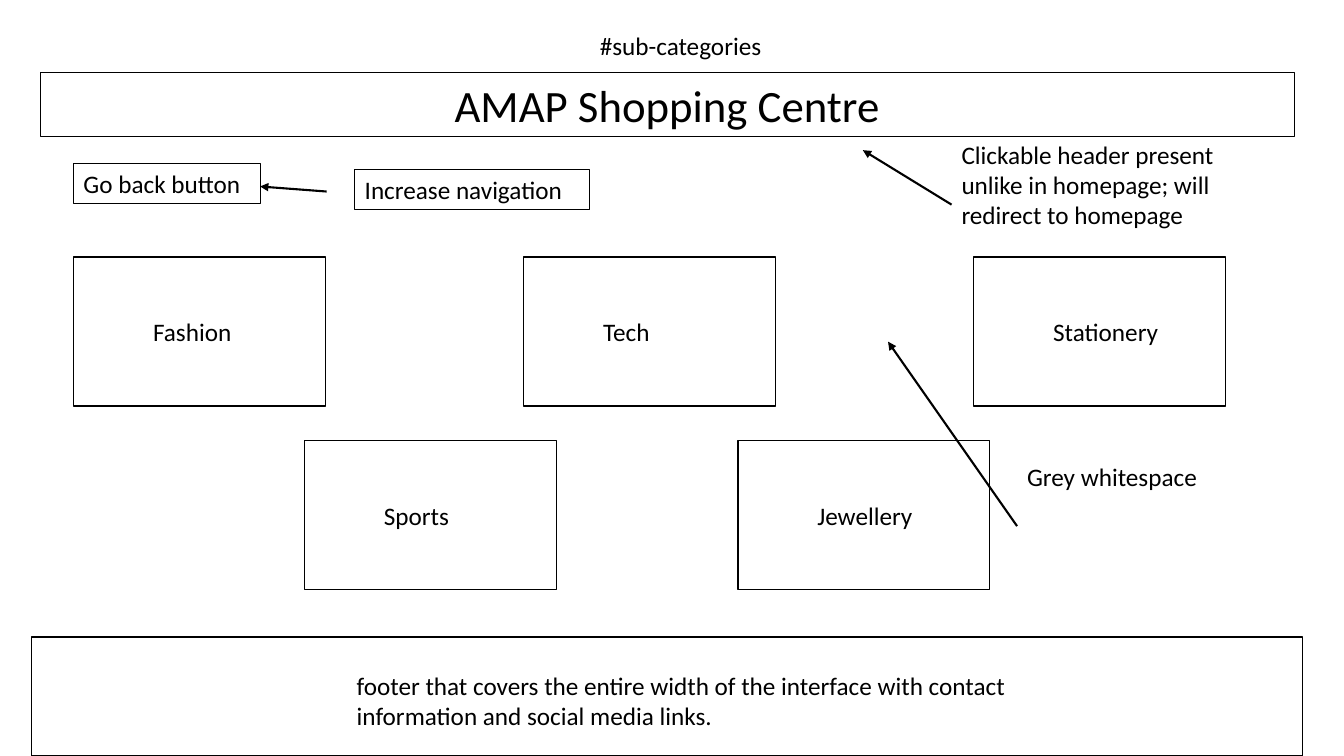
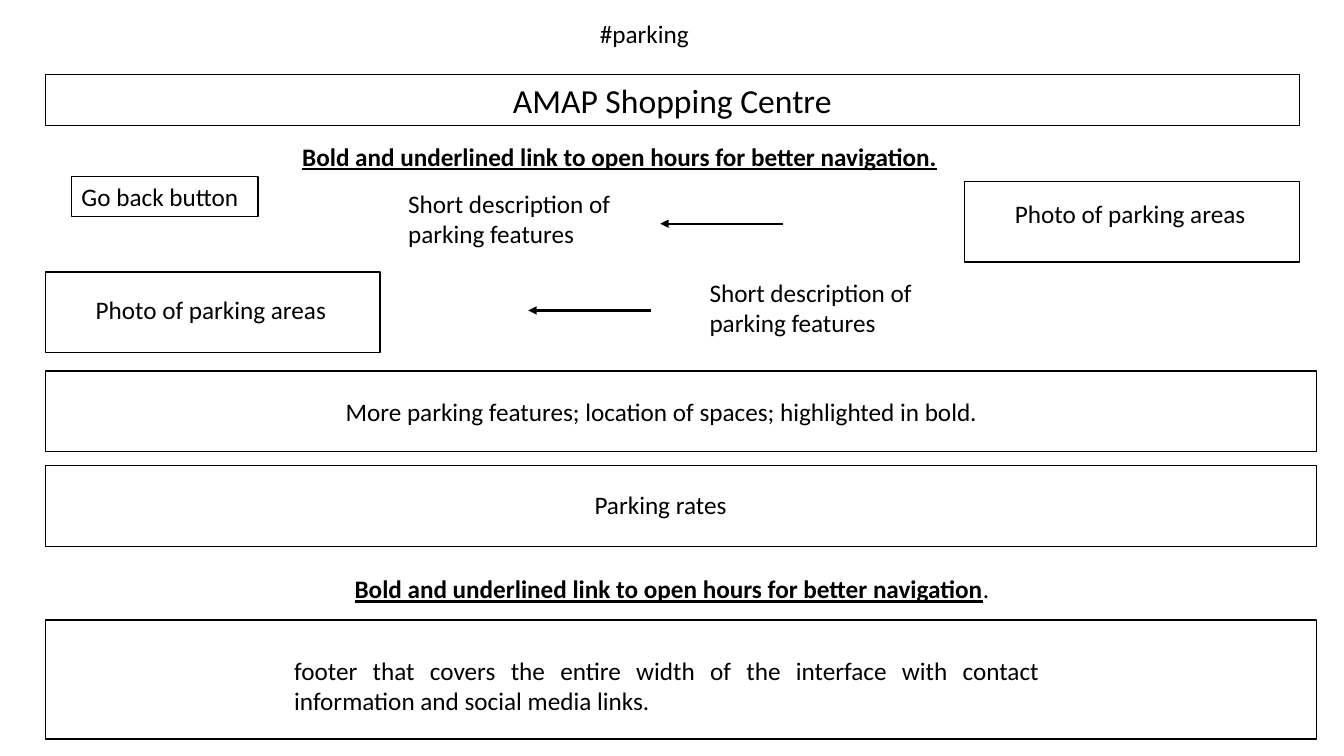
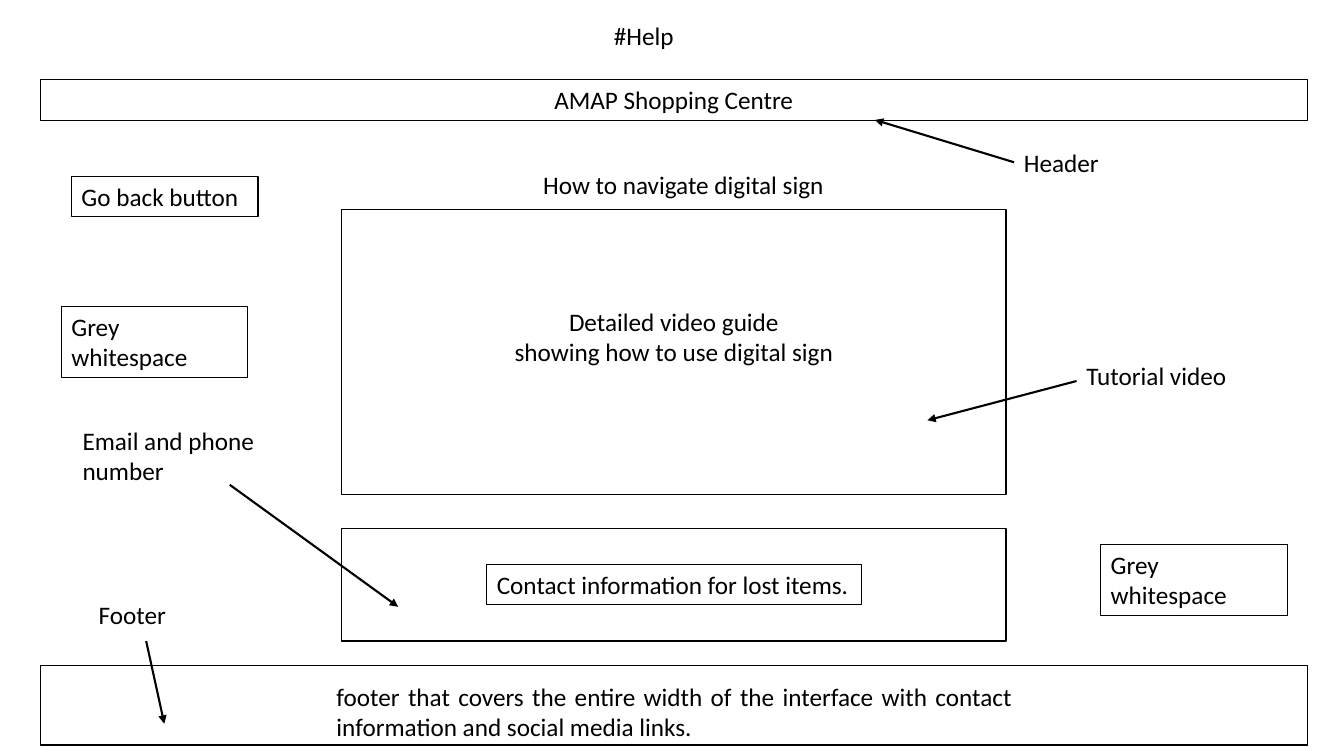
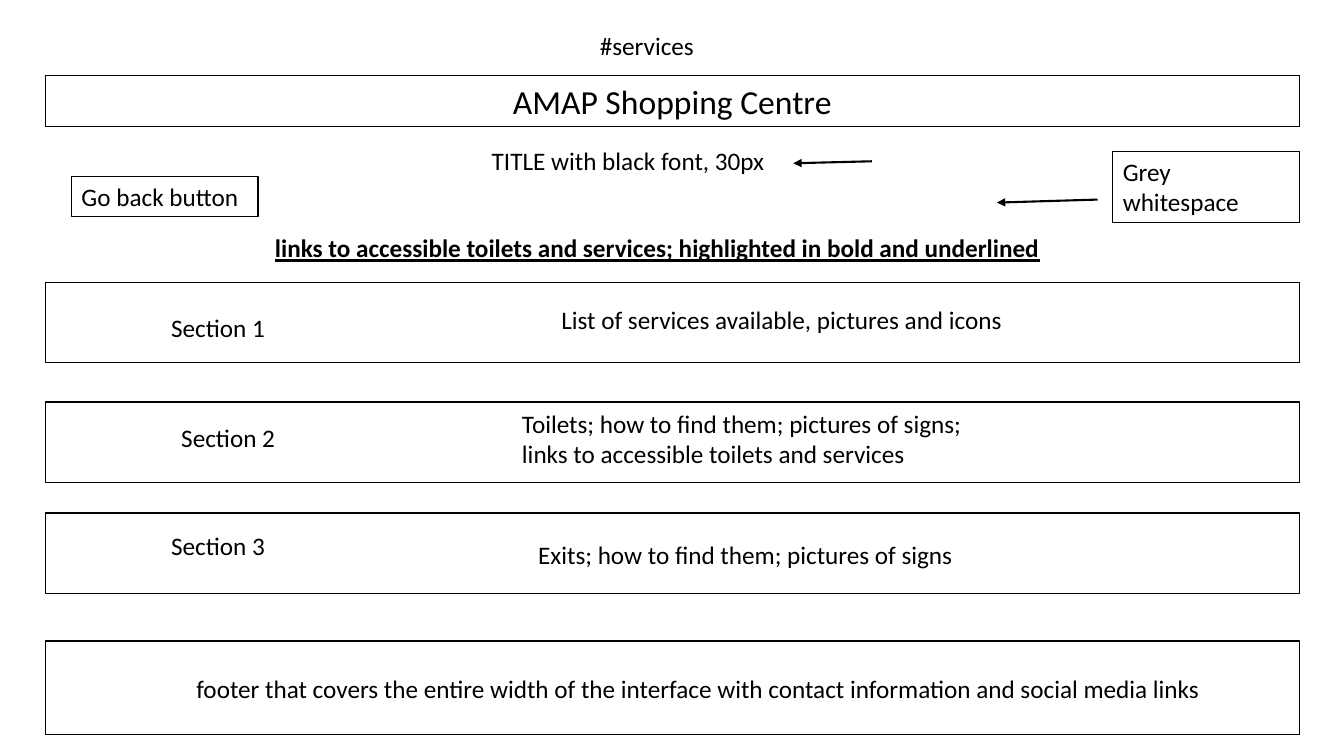
from dataclasses import dataclass

from lxml import etree
from pptx import Presentation
from pptx.dml.color import RGBColor
from pptx.enum.shapes import MSO_CONNECTOR, MSO_SHAPE
from pptx.enum.text import MSO_ANCHOR, MSO_AUTO_SIZE, PP_ALIGN
from pptx.oxml.ns import qn
from pptx.util import Inches, Pt

LEFT, CENTER, JUSTIFY = PP_ALIGN.LEFT, PP_ALIGN.CENTER, PP_ALIGN.JUSTIFY
TOP = MSO_ANCHOR.TOP
FIT_SHAPE = MSO_AUTO_SIZE.SHAPE_TO_FIT_TEXT
RECTANGLE = MSO_SHAPE.RECTANGLE
STRAIGHT = MSO_CONNECTOR.STRAIGHT

INK = RGBColor(0, 0, 0)
FONT = "Calibri"
BODY_SIZE = 18
FRAME_LINE, LABEL_LINE, ARROW_LINE = 1, 0.75, 1.5
TITLE_ONLY = 5

# The grid is 133.33 columns by 75 rows of square cells.
CELL = Inches(0.1)
COLUMNS, ROWS = 133.33, 75
ROWS_PER_POINT = 0.168
INSET_ROWS = 1


@dataclass(frozen=True)
class Frame:
    """An empty outlined area."""
    column: float
    row: float
    columns: float
    rows: float
    line: float = FRAME_LINE


@dataclass(frozen=True)
class Label:
    """Text as tall as its lines; the tail follows in regular weight."""
    text: str
    column: float
    row: float
    columns: float
    lines: int = 1
    size: int = BODY_SIZE
    align: PP_ALIGN = LEFT
    boxed: bool = False
    link: bool = False
    tail: str = ""

    @property
    def rows(self) -> float:
        return INSET_ROWS + self.lines * self.size * ROWS_PER_POINT


@dataclass(frozen=True)
class Arrow:
    start: tuple[float, float]
    end: tuple[float, float]


@dataclass(frozen=True)
class Wireframe:
    title: Label
    frames: list[Frame]
    labels: list[Label]
    arrows: list[Arrow]


def cells(*counts: float) -> list[int]:
    return [round(count * CELL) for count in counts]


def banner(column: float, row: float, columns: float, size: int) -> Label:
    return Label("AMAP Shopping Centre", column, row, columns, size=size, align=CENTER, boxed=True)


def back_button(column: float = 7.1, row: float = 17.5) -> Label:
    return Label("Go back button", column, row, 18.5, boxed=True)


def grey_box(column: float, row: float) -> Label:
    return Label("Grey whitespace", column, row, 18.5, lines=2, boxed=True)


def card(column: float, row: float) -> Frame:
    return Frame(column, row, 25, 14.8)


def card_label(text: str, frame: Frame) -> Label:
    return Label(text, frame.column + 6.9, frame.row + 5.4, 16)


FOOTER = "footer that covers the entire width of the interface with contact information and social media links"
HOURS_LINK = "Bold and underlined link to open hours for better navigation"
PHOTO = "Photo of parking areas"
FEATURES = "Short description of parking features"

CATEGORIES = ["Fashion", "Tech", "Stationery", "Sports", "Jewellery"]
CARDS = [card(7.3 + 44.65 * index, 25.5) for index in range(3)]
CARDS += [card(30.2 + 43 * index, 43.7) for index in range(2)]
SECTION_ROWS = [28, 39.9, 50.9]

WIREFRAMES = [
    Wireframe(
        Label("#sub-categories", 58.5, 2.5, 21.6),
        [*CARDS, Frame(3.1, 63.2, 126.1, 11.8)],
        [
            banner(4, 7.2, 124.4, 32),
            back_button(7.3, 16.2),
            Label("Increase navigation", 35.2, 16.8, 23.3, boxed=True),
            Label("Clickable header present unlike in homepage; will redirect to homepage",
                  94.4, 13.3, 30.5, lines=3),
            *map(card_label, CATEGORIES, CARDS),
            Label("Grey whitespace", 100.9, 45.3, 30.5),
            Label(FOOTER + ".", 34.4, 66, 69.1, lines=2),
        ],
        [
            Arrow((94.4, 20.3), (85.6, 14.9)),
            Arrow((32.4, 19), (25.8, 18.5)),
            Arrow((100.9, 52.2), (88.1, 33.9)),
        ],
    ),
    Wireframe(
        Label("#parking", 58.5, 1.3, 15.2),
        [
            Frame(95.7, 18, 33.2, 8),
            Frame(4.5, 27, 33.2, 8),
            Frame(4.5, 36.8, 126.1, 8),
            Frame(4.5, 46.2, 126.1, 8),
            Frame(4.5, 61.5, 126.1, 11.8),
        ],
        [
            banner(4.5, 7.4, 124.4, 24),
            Label(HOURS_LINK + ".", 29, 13.5, 66.7, align=JUSTIFY, link=True),
            back_button(),
            Label(FEATURES, 39.5, 18.2, 25.2, lines=2),
            Label(PHOTO, 99.7, 19.2, 25.2),
            Label(PHOTO, 8.5, 28.7, 25.2),
            Label(FEATURES, 69.4, 27, 25.2, lines=2),
            Label("More parking features; location of spaces; highlighted in bold.",
                  33.3, 38.8, 66.7, align=JUSTIFY),
            Label("Parking rates", 58, 48.1, 18.3, align=JUSTIFY),
            Label(HOURS_LINK, 34.2, 56.4, 66.7, align=JUSTIFY, link=True, tail="."),
            Label(FOOTER + ".", 28.2, 64.5, 75.9, lines=2, align=JUSTIFY),
        ],
        [Arrow((77.7, 22.2), (65.5, 22.2)), Arrow((64.6, 30.8), (52.4, 30.8))],
    ),
    Wireframe(
        Label("#Help", 59.9, 1.5, 8.2),
        [
            Frame(33.9, 20.8, 65.9, 28.3, LABEL_LINE),
            Frame(33.9, 52.4, 65.9, 11.2),
            Frame(4, 66, 125.7, 7.9),
        ],
        [
            banner(4, 7.9, 125.7, BODY_SIZE),
            Label("Header", 100.6, 14.1, 25.2),
            back_button(),
            Label("How to navigate digital sign", 52.9, 16.3, 31.9),
            Label("Detailed video guide\nshowing how to use digital sign",
                  33.9, 29.9, 65.9, lines=2, align=CENTER),
            grey_box(6.1, 30.4),
            Label("Tutorial video", 106.8, 35.3, 17.2),
            Label("Email and phone number", 7.2, 41.7, 25.2, lines=2),
            Label("Contact information for lost items.", 48.3, 56, 37.2, boxed=True),
            grey_box(109.2, 54),
            Label("Footer", 8.8, 59, 25.2),
            Label(FOOTER + ".", 32.4, 67.1, 69, lines=2, align=JUSTIFY),
        ],
        [
            Arrow((100.6, 16.1), (86.8, 11.9)),
            Arrow((106.8, 37.8), (92, 41.7)),
            Arrow((22.8, 48.1), (39.5, 60.2)),
            Arrow((14.5, 63.6), (16.3, 71.8)),
        ],
    ),
    Wireframe(
        Label("#services", 58.5, 2.5, 15.2),
        [*(Frame(4.5, row, 124.4, 8) for row in SECTION_ROWS), Frame(4.5, 63.6, 124.4, 9.3)],
        [
            banner(4.5, 7.5, 124.4, 24),
            Label("TITLE with black font, 30px", 47.8, 13.9, 36.6),
            grey_box(110.4, 15),
            back_button(),
            Label("links to accessible toilets and services; highlighted in bold and underlined",
                  26.3, 22.6, 84, link=True),
            Label("Section 1", 16, 30.5, 16),
            Label("List of services available, pictures and icons", 54.7, 29.7, 54.4),
            Label("Section 2", 17, 41.4, 16),
            Label("Toilets; how to find them; pictures of signs; links to accessible toilets and services",
                  50.8, 40, 48.1, lines=2),
            Label("Section 3", 16, 52.1, 16),
            Label("Exits; how to find them; pictures of signs", 52.4, 53, 48.1),
            Label(FOOTER, 18.5, 66.3, 106),
        ],
        [Arrow((86.5, 16), (78.7, 16.2)), Arrow((108.9, 19.8), (98.9, 20.1))],
    ),
]


def draw_outline(shape, width: float) -> None:
    shape.line.color.rgb = INK
    shape.line.width = Pt(width)


def write_text(shape, label: Label) -> None:
    frame = shape.text_frame
    frame.text = label.text
    frame.word_wrap = True
    frame.auto_size = FIT_SHAPE
    frame.vertical_anchor = TOP
    for paragraph in frame.paragraphs:
        paragraph.alignment = label.align
        font = paragraph.font
        font.name, font.size = FONT, Pt(label.size)
        font.color.rgb = INK
        if label.link:
            font.bold = font.underline = True
    if label.tail:
        span = frame.paragraphs[-1].add_run()
        span.text = label.tail
        span.font.bold = span.font.underline = False


def set_title(page, label: Label) -> None:
    title = page.shapes.title
    title.left, title.top, title.width, title.height = cells(
        label.column, label.row, label.columns, label.rows)
    write_text(title, label)


def add_frame(page, frame: Frame) -> None:
    shape = page.shapes.add_shape(
        RECTANGLE, *cells(frame.column, frame.row, frame.columns, frame.rows))
    shape.shadow.inherit = False
    shape.fill.background()
    draw_outline(shape, frame.line)


def add_label(page, label: Label) -> None:
    box = page.shapes.add_textbox(*cells(label.column, label.row, label.columns, label.rows))
    write_text(box, label)
    if label.boxed:
        draw_outline(box, LABEL_LINE)


def add_arrow(page, arrow: Arrow) -> None:
    connector = page.shapes.add_connector(STRAIGHT, *cells(*arrow.start, *arrow.end))
    draw_outline(connector, ARROW_LINE)
    properties = connector.element.spPr
    etree.SubElement(properties.find(qn("a:ln")), qn("a:tailEnd"), type="triangle")
    etree.SubElement(properties, qn("a:effectLst"))


def add_page(deck, wireframe: Wireframe) -> None:
    page = deck.slides.add_slide(deck.slide_layouts[TITLE_ONLY])
    set_title(page, wireframe.title)
    for frame in wireframe.frames:
        add_frame(page, frame)
    for label in wireframe.labels:
        add_label(page, label)
    for arrow in wireframe.arrows:
        add_arrow(page, arrow)


def main() -> None:
    deck = Presentation()
    deck.slide_width, deck.slide_height = cells(COLUMNS, ROWS)
    for wireframe in WIREFRAMES:
        add_page(deck, wireframe)
    deck.save("out.pptx")


if __name__ == "__main__":
    main()
